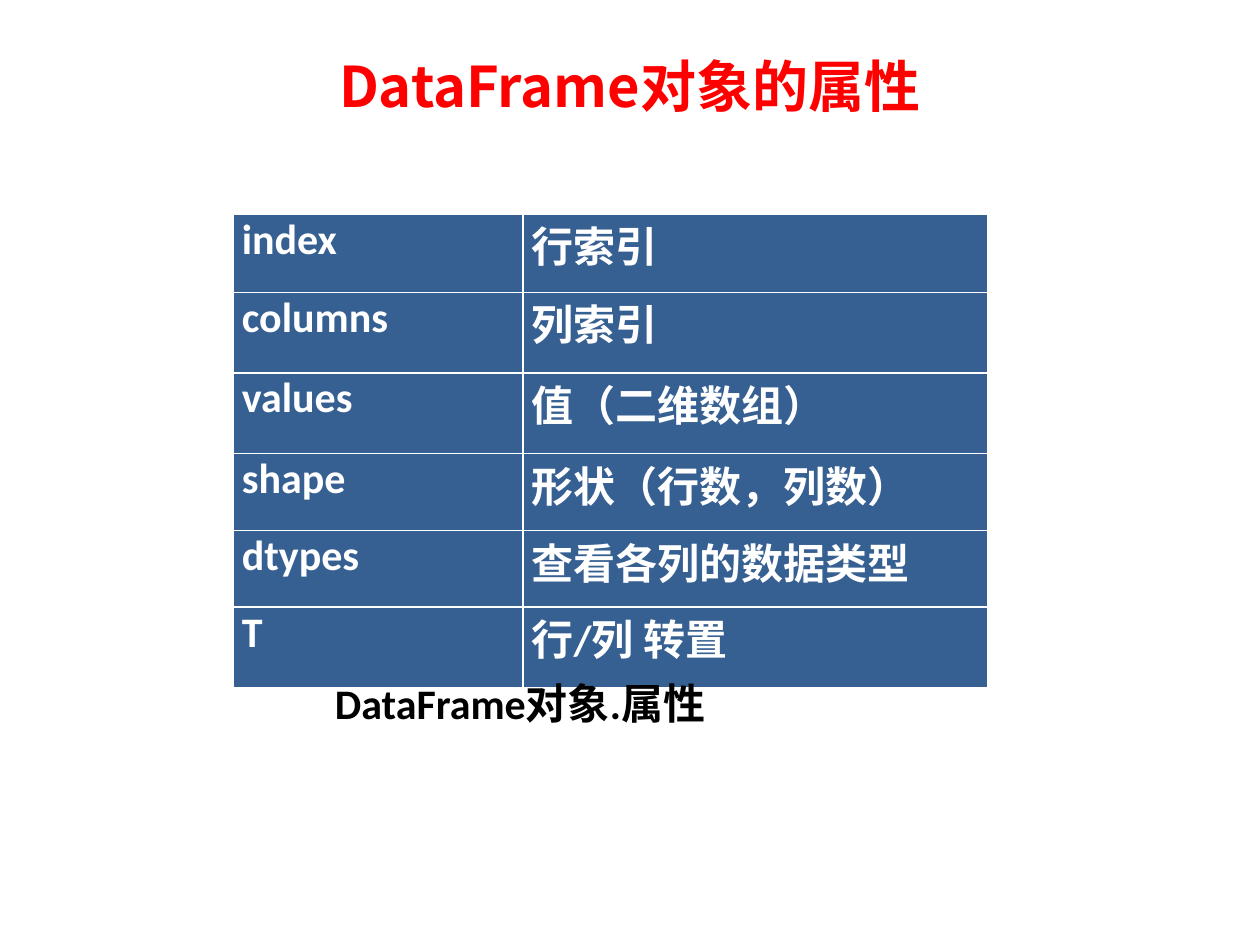
from lxml.etree import SubElement
from pptx import Presentation
from pptx.dml.color import RGBColor as RGB
from pptx.enum.text import MSO_ANCHOR as ANCHOR, MSO_AUTO_SIZE as AUTO, PP_ALIGN as ALIGN
from pptx.oxml.ns import qn
from pptx.util import Inches, Pt

RED = RGB(0xFF, 0x00, 0x00)
BLUE = RGB(0x37, 0x60, 0x92)
WHITE = RGB(0xFF, 0xFF, 0xFF)
BLACK = RGB(0x00, 0x00, 0x00)
LATIN, CJK = "Calibri", "Noto Sans CJK SC"

ATTRIBUTES = [
    ("index", "行索引"),
    ("columns", "列索引"),
    ("values", "值（二维数组）"),
    ("shape", "形状（行数，列数）"),
    ("dtypes", "查看各列的数据类型"),
    ("T", "行/列 转置"),
]
COL_WIDTHS = (2.3, 3.69)
ROW_HEIGHTS = (0.62, 0.64, 0.64, 0.61, 0.61, 0.64)


def format_runs(p, size, color, font=LATIN):
    """Make the runs of a paragraph bold, with Latin and East Asian fonts."""
    for r in p.runs:
        r.font.size, r.font.bold, r.font.name = Pt(size), True, font
        r.font.color.rgb = color
        SubElement(r.font._element, qn("a:ea"), typeface=CJK)


def add_title(slide, x, y, w, h):
    """Place the title in the upper part of its box."""
    s = slide.shapes.title
    s.left, s.top, s.width, s.height = (Inches(v) for v in (x, y, w, h))
    tf = s.text_frame
    tf.text = "DataFrame对象的属性"
    tf.vertical_anchor = ANCHOR.MIDDLE
    tf.margin_bottom = Inches(0.55)
    p = tf.paragraphs[0]
    p.alignment = ALIGN.CENTER
    format_runs(p, 32, RED, CJK)


def add_attribute_table(slide, x, y, w, h):
    """Add the table of attribute names and meanings."""
    table = slide.shapes.add_table(
        len(ATTRIBUTES), len(COL_WIDTHS), Inches(x), Inches(y), Inches(w), Inches(h)
    ).table
    for col, width in zip(table.columns, COL_WIDTHS):
        col.width = Inches(width)
    for row, height, texts in zip(table.rows, ROW_HEIGHTS, ATTRIBUTES):
        row.height = Inches(height)
        for cell, text in zip(row.cells, texts):
            cell.fill.solid()
            cell.fill.fore_color.rgb = BLUE
            cell.margin_left = cell.margin_right = Inches(0.07)
            cell.margin_top = cell.margin_bottom = 0
            p = cell.text_frame.paragraphs[0]
            p.text = text
            p.space_before = p.space_after = Pt(6)
            format_runs(p, 24, WHITE)


def add_usage(slide, x, y, w, h):
    """Add the line that shows how an attribute is used."""
    s = slide.shapes.add_textbox(Inches(x), Inches(y), Inches(w), Inches(h))
    tf = s.text_frame
    tf.word_wrap = True
    tf.auto_size = AUTO.SHAPE_TO_FIT_TEXT
    tf.text = "DataFrame对象.属性"
    format_runs(tf.paragraphs[0], 24, BLACK)


def main():
    """Build and save the slide."""
    prs = Presentation()
    prs.slide_width, prs.slide_height = Inches(10), Inches(7.5)
    slide = prs.slides.add_slide(prs.slide_layouts[5])
    add_title(slide, 0.5, 0.3, 9, 1.25)
    add_attribute_table(slide, 1.85, 1.7, sum(COL_WIDTHS), sum(ROW_HEIGHTS))
    add_usage(slide, 2.56, 5.33, 3.7, 0.5)
    prs.save("out.pptx")


if __name__ == "__main__":
    main()
